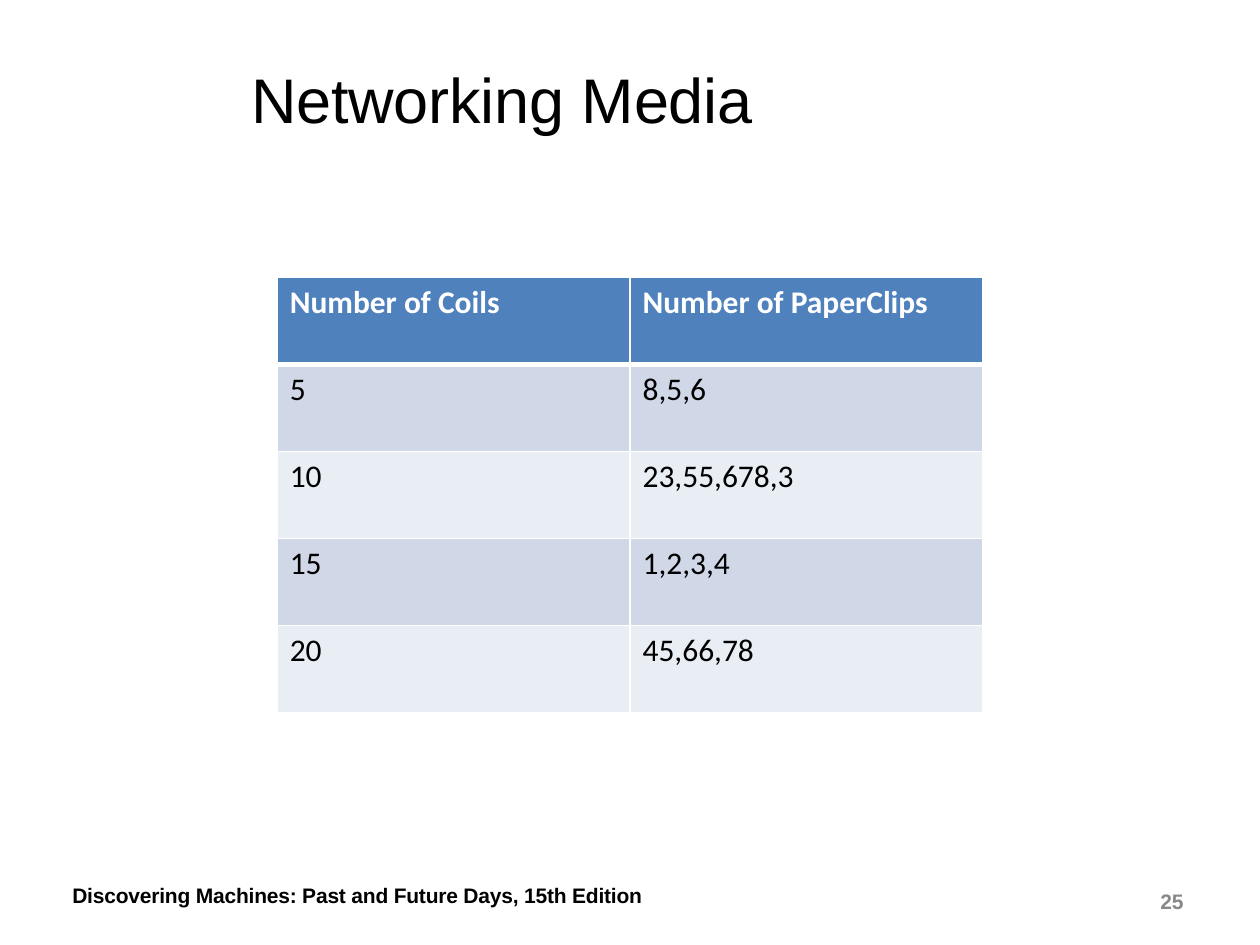
from lxml.etree import SubElement
from pptx import Presentation
from pptx.dml.color import RGBColor
from pptx.oxml.ns import qn
from pptx.util import Pt

BLACK, WHITE, GRAY = "000000", "FFFFFF", "888888"
HEADER_BLUE = "4F81BD"
BANDS = ("D0D8E8", "E9EDF4")

RESULTS = [
    ("Number of Coils", "Number of PaperClips"),
    ("5", "8,5,6"),
    ("10", "23,55,678,3"),
    ("15", "1,2,3,4"),
    ("20", "45,66,78"),
]


def color(value):
    return RGBColor.from_string(value)


def set_font(paragraph, family, size, hue, bold=False):
    paragraph.font.name = family
    paragraph.font.size = Pt(size)
    paragraph.font.bold = bold
    paragraph.font.color.rgb = color(hue)


def add_label(slide, box, text, size, hue, bold=False, inset=(0, 0),
              line=None, tracking=0):
    label = slide.shapes.add_textbox(*map(Pt, box))
    frame = label.text_frame
    frame.word_wrap = True
    frame.margin_left, frame.margin_top = map(Pt, inset)
    frame.margin_right = frame.margin_bottom = 0
    paragraph = frame.paragraphs[0]
    run = paragraph.add_run()
    run.text = text
    set_font(paragraph, "Arial", size, hue, bold)
    if line:
        paragraph.line_spacing = Pt(line)
    if tracking:
        run.font._element.set("spc", str(round(tracking * 100)))


def add_title(slide, box):
    add_label(slide, box, "Networking Media", 36, BLACK,
              inset=(49, 39.5), tracking=-0.1)


def add_footer(slide, box):
    left, top, width, height = box
    number_width = 18
    add_label(slide, (left, top, 353.5, height),
              "Discovering Machines: Past and Future Days, 15th Edition",
              12, BLACK, True, inset=(1, 0), line=13.1, tracking=-0.1)
    add_label(slide, (left + width - number_width, top + 3.6, number_width, height),
              "25", 12, GRAY, True, inset=(2, 0), line=13.1)


def set_borders(cell, bottom_width):
    properties = cell._tc.get_or_add_tcPr()
    widths = {"a:lnL": 1, "a:lnR": 1, "a:lnT": 1, "a:lnB": bottom_width}
    for position, (side, width) in enumerate(widths.items()):
        border = SubElement(properties, qn(side), w=str(Pt(width)))
        fill = SubElement(border, qn("a:solidFill"))
        SubElement(fill, qn("a:srgbClr"), val=WHITE)
        properties.insert(position, border)


def add_results(slide, box):
    left, top, width, height = box
    rows, columns = len(RESULTS), len(RESULTS[0])
    table = slide.shapes.add_table(rows, columns, *map(Pt, box)).table
    for column in table.columns:
        column.width = Pt(width / columns)
    for r, values in enumerate(RESULTS):
        table.rows[r].height = Pt(height / rows)
        header = r == 0
        for c, value in enumerate(values):
            cell = table.cell(r, c)
            cell.text = value
            set_font(cell.text_frame.paragraphs[0], "Calibri", 18,
                     WHITE if header else BLACK, header)
            cell.fill.solid()
            cell.fill.fore_color.rgb = color(HEADER_BLUE if header else BANDS[(r - 1) % 2])
            set_borders(cell, 3 if header else 1)
            if r == 1:
                cell._tc.tcPr.find(qn("a:lnT")).set("w", str(Pt(3)))


def main():
    presentation = Presentation()
    presentation.slide_width, presentation.slide_height = Pt(720), Pt(540)
    slide = presentation.slides.add_slide(presentation.slide_layouts[6])
    add_title(slide, (94.5, -5, 531, 116))
    add_footer(slide, (40.3, 505.4, 638.7, 13.7))
    add_results(slide, (158.4, 158.4, 403.2, 249))
    presentation.save("out.pptx")


if __name__ == "__main__":
    main()
